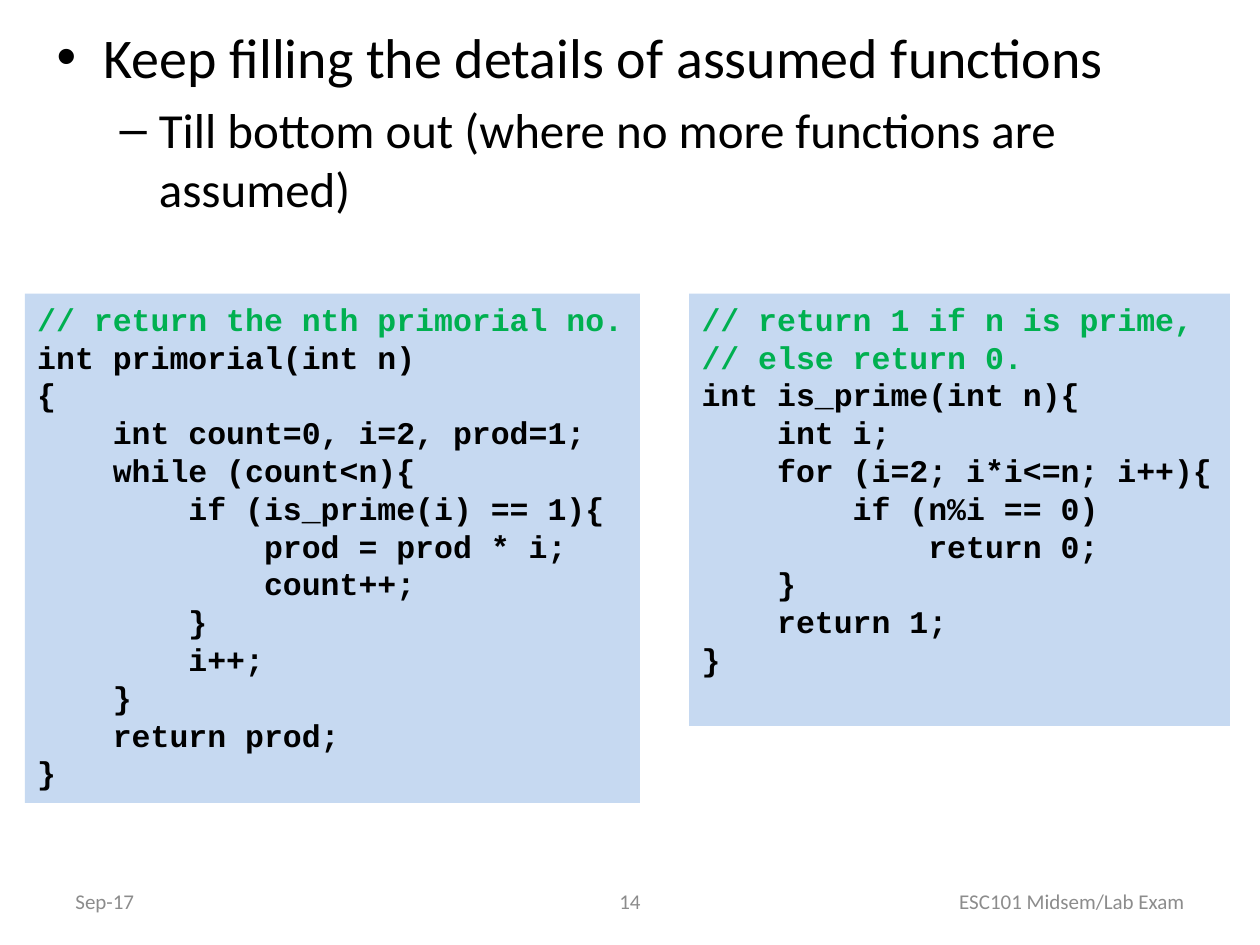
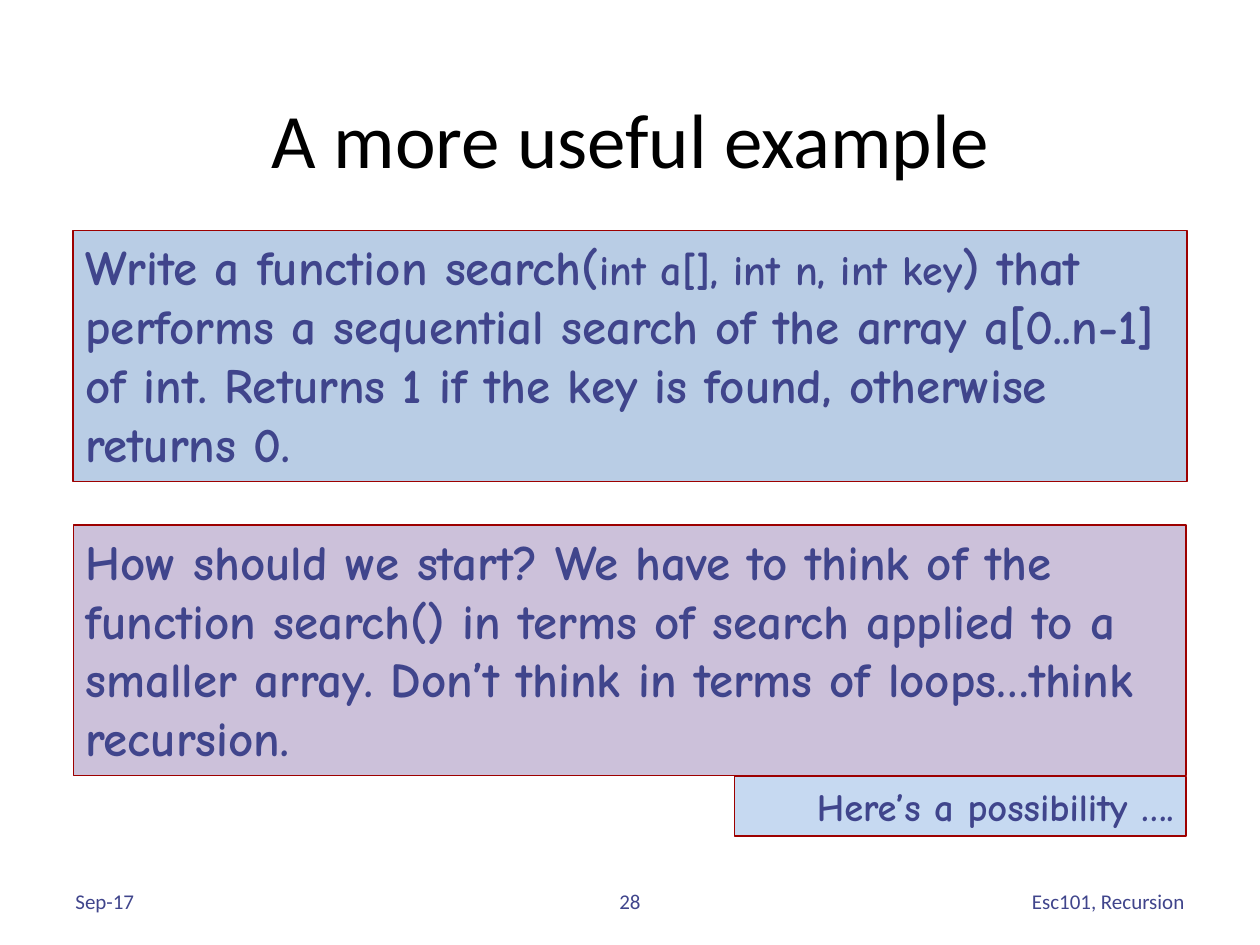
from lxml import etree
from pptx import Presentation
from pptx.dml.color import RGBColor
from pptx.enum import shapes, text
from pptx.oxml import ns
from pptx.util import Pt

# Shared colours, fonts and alignments
BLACK, GREY, INDIGO = "000000", "8C8C8C", "40458C"
COMMENT_GREEN, BORDER_RED = "00B050", "9D0000"
PALE_BLUE, BLUE, LILAC = "C6D9F1", "B9CDE5", "CCC1DA"
BODY_FONT, CODE_FONT, NOTE_FONT = "Calibri", "Courier New", "Comic Neue"
LEFT, CENTER, RIGHT = text.PP_ALIGN.LEFT, text.PP_ALIGN.CENTER, text.PP_ALIGN.RIGHT
TOP, MIDDLE = text.MSO_ANCHOR.TOP, text.MSO_ANCHOR.MIDDLE


def add_box(slide, left, top, width, height, fill=None, line=None, anchor=TOP):
    """Add a filled rectangle, or a text box when there is no fill."""
    place = Pt(left), Pt(top), Pt(width), Pt(height)
    if fill:
        shape = slide.shapes.add_shape(shapes.MSO_SHAPE.RECTANGLE, *place)
        shape.shadow.inherit = False
        shape.fill.solid()
        shape.fill.fore_color.rgb = RGBColor.from_string(fill)
        if line:
            shape.line.color.rgb = RGBColor.from_string(line)
            shape.line.width = Pt(0.75)
        else:
            shape.line.fill.background()
    else:
        shape = slide.shapes.add_textbox(*place)
    shape.text_frame.word_wrap = True
    shape.text_frame.vertical_anchor = anchor
    return shape.text_frame


def add_run(paragraph, wording, size, font, colour, bold=False, align=LEFT):
    paragraph.alignment = align
    run = paragraph.add_run()
    run.text = wording
    run.font.size = Pt(size)
    run.font.name = font
    run.font.bold = bold
    run.font.color.rgb = RGBColor.from_string(colour)


presentation = Presentation()
presentation.slide_width, presentation.slide_height = Pt(720), Pt(540)
blank = presentation.slide_layouts[6]
code_slide = presentation.slides.add_slide(blank)
search_slide = presentation.slides.add_slide(blank)

# Footers: date, slide number, lecture name
for slide, number, lecture, colour in (
    (code_slide, "14", "ESC101 Midsem/Lab Exam", GREY),
    (search_slide, "28", "Esc101, Recursion", INDIGO),
):
    for left, width, wording, align in (
        (36, 168, "Sep-17", LEFT),
        (246, 228, number, CENTER),
        (516, 168, lecture, RIGHT),
    ):
        frame = add_box(slide, left, 500.5, width, 28.75, anchor=MIDDLE)
        add_run(frame.paragraphs[0], wording, 12, BODY_FONT, colour, align=align)

# Slide 1: bullets
frame = add_box(code_slide, 25.2, 9.4, 669, 493)
paragraph = frame.paragraphs[0]
for level, (mark, margin, indent, size, wording) in enumerate((
    ("•", 27, -27, 32, "Keep filling the details of assumed functions"),
    ("–", 58.5, -22.5, 28, "Till bottom out (where no more functions are assumed)"),
)):
    if level:
        paragraph = frame.add_paragraph()
        paragraph.level = level
        paragraph.space_before = Pt(0.2 * size)
    properties = paragraph._p.get_or_add_pPr()
    properties.set("marL", str(Pt(margin)))
    properties.set("indent", str(Pt(indent)))
    etree.SubElement(properties, ns.qn("a:buFont")).set("typeface", "Arial")
    etree.SubElement(properties, ns.qn("a:buChar")).set("char", mark)
    add_run(paragraph, wording, size, BODY_FONT, BLACK)

# Slide 1: code panels
PRIMORIAL = """// return the nth primorial no.
int primorial(int n)
{
    int count=0, i=2, prod=1;
    while (count<n){
        if (is_prime(i) == 1){
            prod = prod * i;
            count++;
        }
        i++;
    }
    return prod;
}"""
IS_PRIME = """// return 1 if n is prime,
// else return 0.
int is_prime(int n){
    int i;
    for (i=2; i*i<=n; i++){
        if (n%i == 0)
            return 0;
    }
    return 1;
}"""
for left, width, height, code in (
    (14.2, 351.5, 291, PRIMORIAL),
    (393.8, 309, 247, IS_PRIME),
):
    frame = add_box(code_slide, left, 167.8, width, height, PALE_BLUE)
    for index, code_line in enumerate(code.split("\n")):
        paragraph = frame.add_paragraph() if index else frame.paragraphs[0]
        colour = COMMENT_GREEN if code_line.startswith("//") else BLACK
        add_run(paragraph, code_line, 18, CODE_FONT, colour, bold=True)

# Slide 2: title
frame = add_box(search_slide, 23, 41.8, 674.6, 73.4, anchor=MIDDLE)
add_run(frame.paragraphs[0], "A more useful example", 44, BODY_FONT, BLACK, align=CENTER)

# Slide 2: task, question and lead-in
for left, top, width, height, fill, align, runs in (
    (41.8, 131.8, 636.5, 143.3, BLUE, LEFT, (
        ("Write a function search(", 28),
        ("int a[], int n, int key", 24),
        (") that performs a sequential search of the array a[0..n-1] of int. "
         "Returns 1 if the key is found, otherwise returns 0.", 28),
    )),
    (41.8, 300, 636, 143.3, LILAC, LEFT, (
        ("How should we start? We have to think of the function search() in terms "
         "of search applied to a smaller array. Don’t think in terms of loops…think "
         "recursion.", 28),
    )),
    (419.8, 443.8, 258, 34, PALE_BLUE, RIGHT, (("Here’s a possibility ….", 22),)),
):
    frame = add_box(search_slide, left, top, width, height, fill, BORDER_RED)
    for wording, size in runs:
        add_run(frame.paragraphs[0], wording, size, NOTE_FONT, INDIGO, True, align)

presentation.save("out.pptx")
